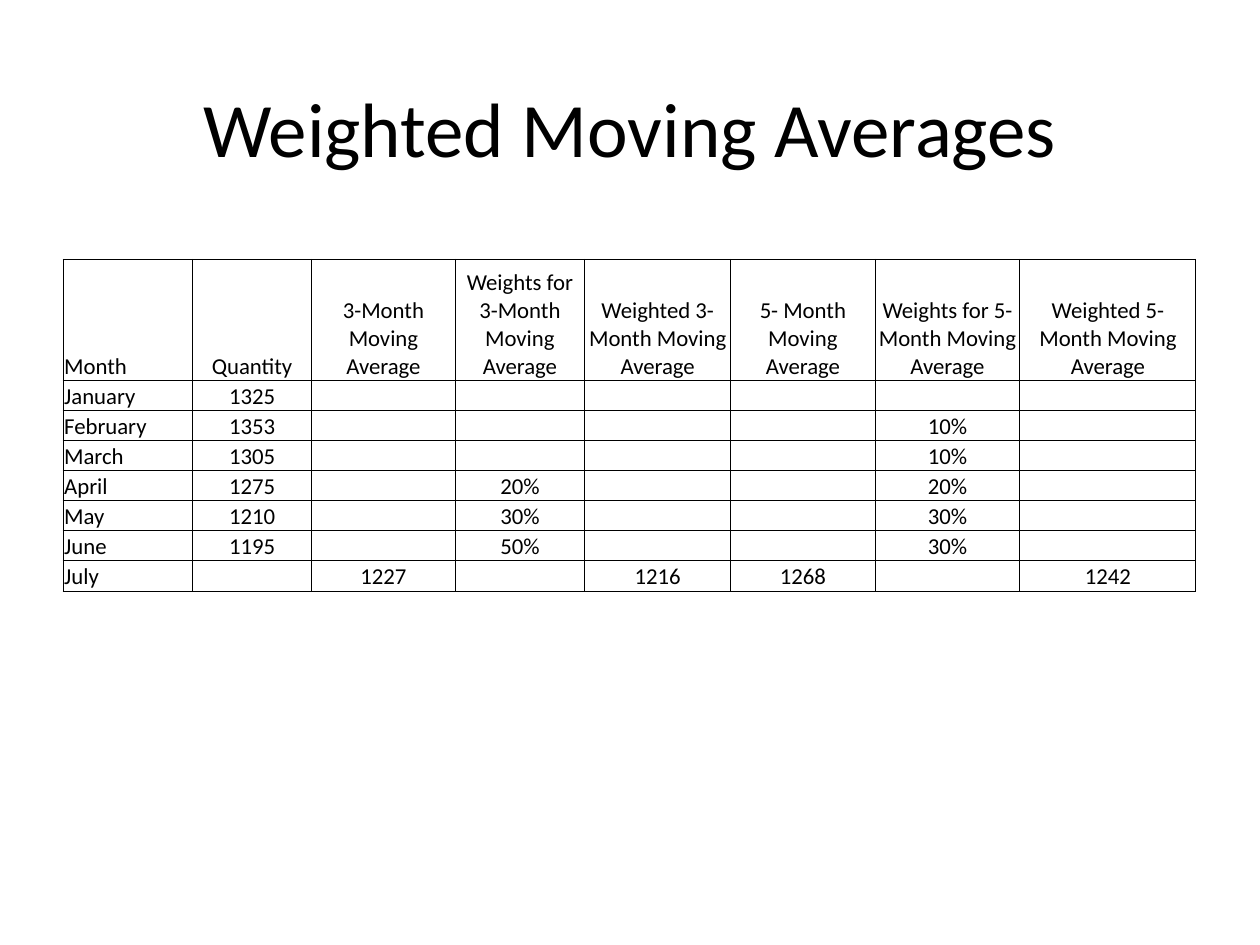
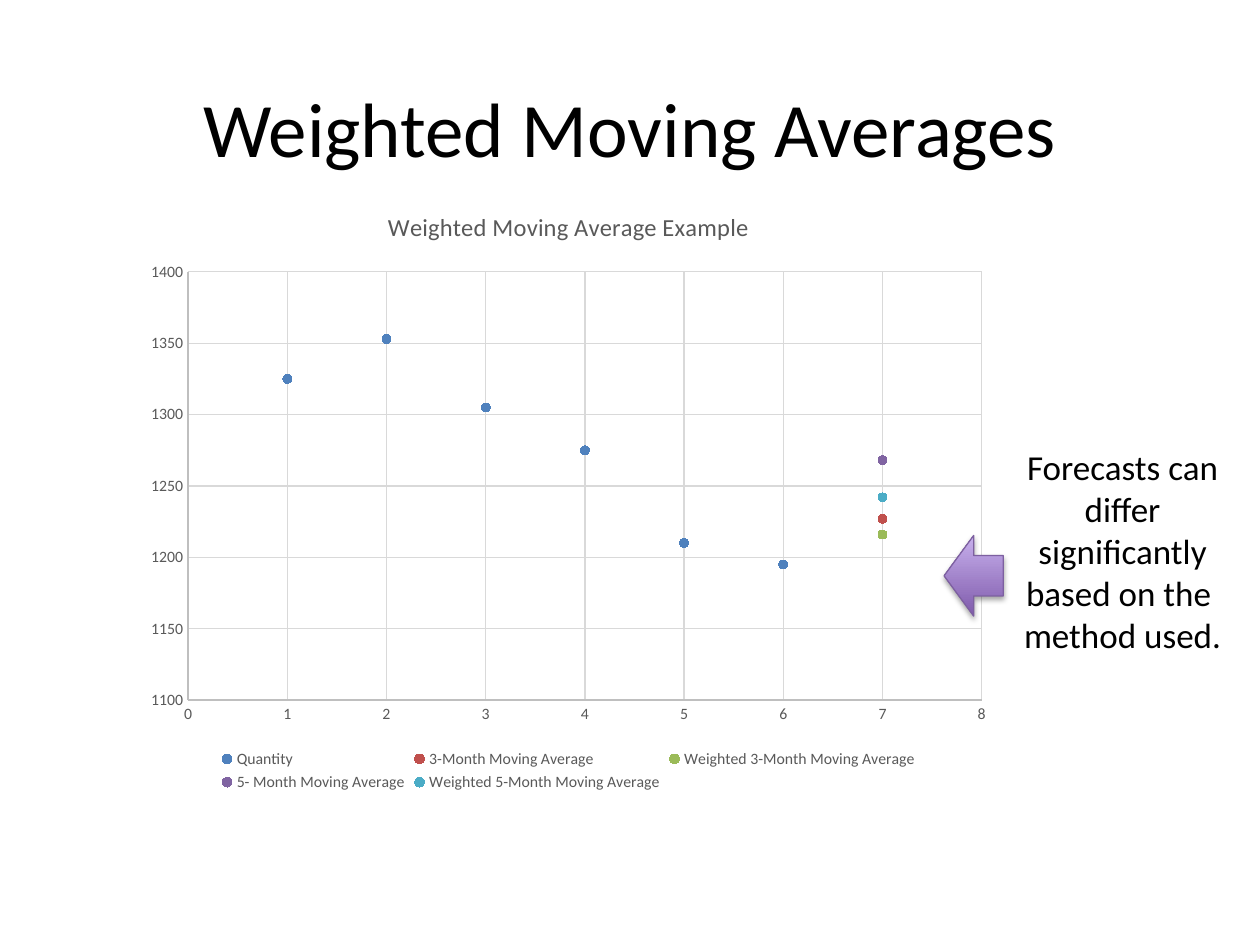
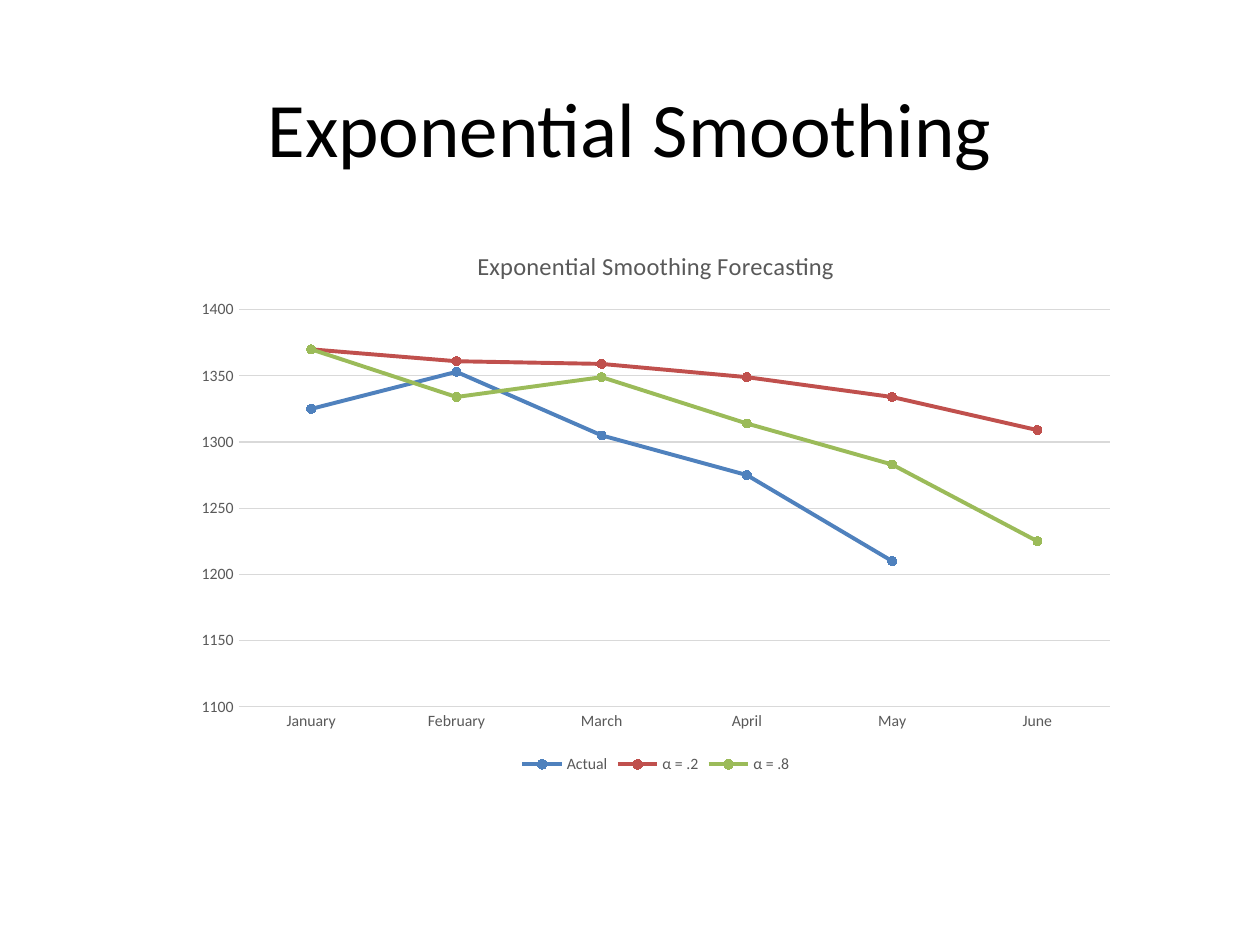
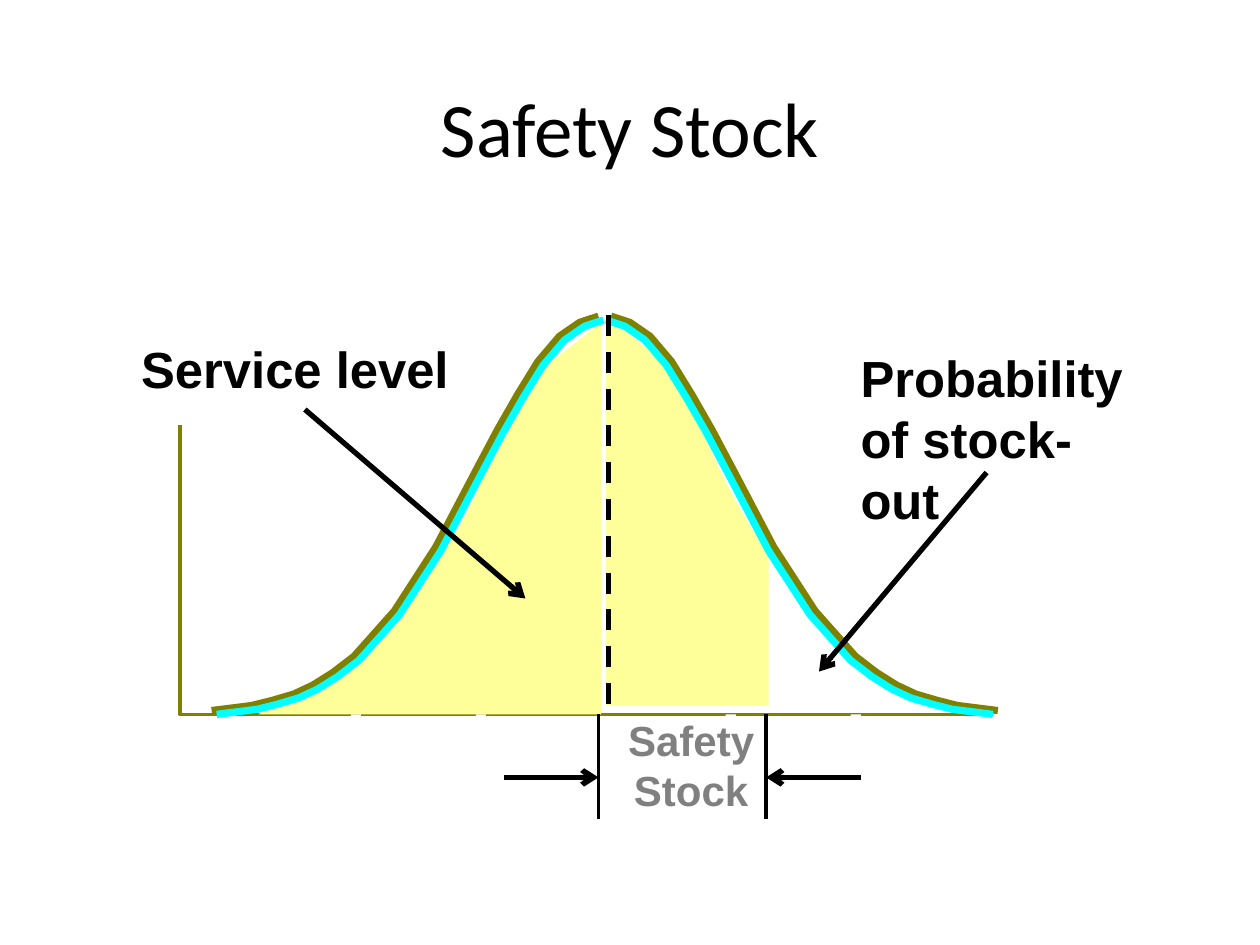
from lxml.etree import SubElement
from pptx import Presentation
from pptx.chart.data import CategoryChartData, XyChartData
from pptx.dml.color import RGBColor
from pptx.enum.chart import (XL_CHART_TYPE, XL_LEGEND_POSITION,
                             XL_MARKER_STYLE, XL_TICK_MARK)
from pptx.enum.dml import MSO_LINE
from pptx.enum.shapes import MSO_CONNECTOR, MSO_SHAPE
from pptx.enum.text import MSO_ANCHOR, MSO_AUTO_SIZE, PP_ALIGN
from pptx.oxml.ns import qn
from pptx.util import Inches, Pt

# Slide grid: 100 columns by 75 rows
WIDTH, HEIGHT = Inches(10), Inches(7.5)
COLS, ROWS = 100, 75

# Fonts and colours
BODY, LABEL = "Calibri", "Arial"
BLACK = RGBColor(0x00, 0x00, 0x00)
WHITE = RGBColor(0xFF, 0xFF, 0xFF)
GRAY = RGBColor(0x80, 0x80, 0x80)
SLATE = RGBColor(0x59, 0x59, 0x59)
SILVER = RGBColor(0xBF, 0xBF, 0xBF)
PALE = RGBColor(0xD9, 0xD9, 0xD9)
BLUE = RGBColor(0x4F, 0x81, 0xBD)
RED = RGBColor(0xC0, 0x50, 0x4D)
GREEN = RGBColor(0x9B, 0xBB, 0x59)
PURPLE = RGBColor(0x80, 0x64, 0xA2)
AQUA = RGBColor(0x4B, 0xAC, 0xC6)
HUES = [BLUE, RED, GREEN, PURPLE, AQUA]
PLUM = RGBColor(0x7F, 0x5B, 0xAB)
LILAC = RGBColor(0xC8, 0xB0, 0xED)
EDGE = RGBColor(0x7D, 0x60, 0xA0)
OLIVE = RGBColor(0x80, 0x80, 0x00)
CYAN = RGBColor(0x00, 0xFF, 0xFF)
YELLOW = RGBColor(0xFF, 0xFF, 0x99)

# Table content
WIDTHS = [10.28, 9.45, 11.4, 10.27, 11.6, 11.45, 11.5, 13.97]
HEADS = ["Month", "Quantity", "3-Month Moving Average",
         "Weights for 3-Month Moving Average",
         "Weighted 3-Month Moving Average", "5- Month Moving Average",
         "Weights for 5-Month Moving Average",
         "Weighted 5-Month Moving Average"]
MONTHS = ["January", "February", "March", "April", "May", "June", "July"]
SALES = [1325, 1353, 1305, 1275, 1210, 1195]
SHORT = ["", "", "", "20%", "30%", "50%"]
LONG = ["", "10%", "10%", "20%", "30%", "30%"]
CASTS = {2: 1227, 4: 1216, 5: 1268, 7: 1242}

# Smoothing content
TRENDS = {"Actual": SALES[:5] + [None],
          "α = .2": [1370, 1361, 1359, 1349, 1334, 1309],
          "α = .8": [1370, 1334, 1349, 1314, 1283, 1225]}

# Bell curve: the rising half, mirrored for the falling half
RISE = [(16.8, 56.4), (20, 56), (21.6, 55.6), (23.3, 55.1), (24.8, 54.4),
        (26.4, 53.4), (28.1, 52.1), (31.3, 48.5), (34.6, 43.4),
        (37.8, 37.3), (39.5, 34.1), (41.1, 31.3), (42.7, 28.7),
        (44.4, 26.7), (46, 25.6), (47.5, 25.1)]
MIRROR = 96
LEFT_AREA = [(47.7, 25.6), (43, 29.3), (41.2, 31.8), (39.3, 35.5),
             (37.7, 39.4), (36.2, 42.3), (29.3, 51.7), (24.9, 54.2),
             (20.5, 56.7), (47.7, 56.7)]
RIGHT_AREA = [(48.1, 25), (52.6, 28.7), (54.5, 31.2), (55.4, 33.6),
              (57.8, 38.7), (59.5, 41.7), (61, 44.2), (61, 56), (48.1, 56)]
BASE = 56.7


def col(n):
    return round(WIDTH * n / COLS)


def row(n):
    return round(HEIGHT * n / ROWS)


def area(x, y, w, h):
    return col(x), row(y), col(w), row(h)


def write(para, text, size, font=BODY, color=BLACK, bold=False):
    run = para.add_run()
    run.text = text
    run.font.size, run.font.name, run.font.bold = Pt(size), font, bold
    run.font.color.rgb = color


def text_box(slide, box, lines, size, align=PP_ALIGN.LEFT, pad=(0, 0),
             wrap=False, anchor=MSO_ANCHOR.TOP, **style):
    frame = slide.shapes.add_textbox(*area(*box)).text_frame
    frame.word_wrap, frame.vertical_anchor = wrap, anchor
    if not wrap:
        frame.auto_size = MSO_AUTO_SIZE.SHAPE_TO_FIT_TEXT
    frame.margin_left = frame.margin_right = col(pad[0])
    frame.margin_top = frame.margin_bottom = row(pad[1])
    for i, line in enumerate(lines):
        para = frame.add_paragraph() if i else frame.paragraphs[0]
        para.alignment = align
        write(para, line, size, **style)


def new_slide(deck, title):
    slide = deck.slides.add_slide(deck.slide_layouts[6])
    text_box(slide, (5, 3.8, 90, 12.5), [title], 44, PP_ALIGN.CENTER,
             (1, 0.5), True, MSO_ANCHOR.MIDDLE)
    return slide


# Table
def outline(cell):
    props = cell._tc.get_or_add_tcPr()
    for i, side in enumerate(("lnL", "lnR", "lnT", "lnB")):
        line = props.makeelement(qn(f"a:{side}"), {"w": str(Pt(0.5))})
        fill = SubElement(line, qn("a:solidFill"))
        SubElement(fill, qn("a:srgbClr"), val=str(BLACK))
        props.insert(i, line)


def add_grid(slide, box, rows, widths, heights):
    frame = slide.shapes.add_table(len(rows), len(widths), *area(*box))
    table = frame.table
    table.first_row = table.horz_banding = False
    for item, width in zip(table.columns, widths):
        item.width = col(width)
    for r, (values, height) in enumerate(zip(rows, heights)):
        table.rows[r].height = row(height)
        for c, value in enumerate(values):
            cell = table.cell(r, c)
            cell.fill.background()
            outline(cell)
            cell.vertical_anchor = MSO_ANCHOR.BOTTOM
            cell.margin_left = cell.margin_right = col(0.1)
            cell.margin_top, cell.margin_bottom = row(0.1), 0
            para = cell.text_frame.paragraphs[0]
            para.alignment = PP_ALIGN.CENTER if c else PP_ALIGN.LEFT
            if value:
                write(para, str(value), 13)
            else:
                para._p.get_or_add_endParaRPr().set("sz", "1300")


# Charts
def style_font(font, size, color):
    font.size, font.name, font.bold = Pt(size), BODY, False
    font.color.rgb = color


def style_line(line, color, width):
    line.color.rgb, line.width = color, Pt(width)


def style_axis(axis, color, grid):
    axis.major_tick_mark = axis.minor_tick_mark = XL_TICK_MARK.NONE
    style_font(axis.tick_labels.font, 9, SLATE)
    axis.has_major_gridlines = grid
    if grid:
        style_line(axis.major_gridlines.format.line, PALE, 0.75)
    if color:
        style_line(axis.format.line, color, 0.75)
    else:
        axis.format.line.fill.background()


def drop_blanks(chart):
    for value in list(chart._chartSpace.iter(qn("c:v"))):
        if value.text == "None":
            point = value.getparent()
            point.getparent().remove(point)


def add_plot(slide, box, kind, data, title):
    chart = slide.shapes.add_chart(kind, *area(*box), data).chart
    style_font(chart.font, 10, BLACK)
    chart.has_title = True
    write(chart.chart_title.text_frame.paragraphs[0], title, 14, color=SLATE)
    chart.chart_title.include_in_layout = False
    chart.has_legend = True
    chart.legend.position = XL_LEGEND_POSITION.BOTTOM
    chart.legend.include_in_layout = False
    style_font(chart.legend.font, 9, SLATE)
    values = chart.value_axis
    values.minimum_scale, values.maximum_scale = 1100, 1400
    values.major_unit = 50
    plot = chart.plots[0]
    plot.vary_by_categories = False
    for series, hue in zip(plot.series, HUES):
        marker = series.marker
        marker.style, marker.size = XL_MARKER_STYLE.CIRCLE, 5
        marker.format.fill.solid()
        marker.format.fill.fore_color.rgb = hue
        style_line(marker.format.line, hue, 0.75)
        if kind == XL_CHART_TYPE.LINE_MARKERS:
            series.smooth = False
            style_line(series.format.line, hue, 2.25)
        else:
            series.format.line.fill.background()
    return chart


# Shapes and lines
def add_rect(slide, *box):
    shape = slide.shapes.add_shape(MSO_SHAPE.RECTANGLE, *area(*box))
    shape.shadow.inherit = False
    shape.fill.solid()
    shape.fill.fore_color.rgb = WHITE
    shape.line.fill.background()


def add_free(slide, points, fill=None, line=None, width=1):
    spots = [(col(x), row(y)) for x, y in points]
    builder = slide.shapes.build_freeform(*spots[0], scale=1.0)
    builder.add_line_segments(spots[1:], close=fill is not None)
    shape = builder.convert_to_shape()
    shape.shadow.inherit = False
    if fill is None:
        shape.fill.background()
        style_line(shape.line, line, width)
    else:
        shape.fill.solid()
        shape.fill.fore_color.rgb = fill
        shape.line.fill.background()


def add_line(slide, start, end, width=3, dash=False, arrow=False):
    line = slide.shapes.add_connector(
        MSO_CONNECTOR.STRAIGHT, col(start[0]), row(start[1]),
        col(end[0]), row(end[1]))
    style_line(line.line, BLACK, width)
    if dash:
        line.line.dash_style = MSO_LINE.DASH
    if arrow:
        SubElement(line.line._get_or_add_ln(), qn("a:tailEnd"), type="arrow")
    SubElement(line._element.spPr, qn("a:effectLst"))


def add_arrow(slide, *box):
    shape = slide.shapes.add_shape(MSO_SHAPE.LEFT_ARROW, *area(*box))
    shape.shadow.inherit = False
    shape.fill.gradient()
    shape.fill.gradient_angle = 90
    for stop, hue, place in zip(shape.fill.gradient_stops,
                                (PLUM, LILAC), (0, 1)):
        stop.color.rgb, stop.position = hue, place
    style_line(shape.line, EDGE, 0.75)
    effects = shape._element.spPr.find(qn("a:effectLst"))
    shade = SubElement(effects, qn("a:outerShdw"), blurRad=str(Pt(3.1)),
                       dist=str(Pt(1.8)), dir="5400000", rotWithShape="0")
    tint = SubElement(shade, qn("a:srgbClr"), val=str(BLACK))
    SubElement(tint, qn("a:alpha"), val="35000")


# Slides
def table_slide(deck):
    slide = new_slide(deck, "Weighted Moving Averages")
    rows = [HEADS]
    for month, sale, short, long in zip(MONTHS, SALES, SHORT, LONG):
        rows.append([month, sale, "", short, "", "", long, ""])
    rows.append([MONTHS[-1]] + [CASTS.get(c, "") for c in range(1, 8)])
    add_grid(slide, (5, 20.57, 90, 26.3), rows, WIDTHS, [9.6] + [2.39] * 7)


def scatter_slide(deck):
    slide = new_slide(deck, "Weighted Moving Averages")
    data = XyChartData()
    lists = {HEADS[1]: SALES + [None]}
    for c, cast in CASTS.items():
        lists[HEADS[c]] = [None] * 6 + [cast]
    for name, values in lists.items():
        series = data.add_series(name)
        for x, value in enumerate(values, 1):
            series.add_data_point(x, value)
    chart = add_plot(slide, (10.62, 14.82, 69, 48.4),
                     XL_CHART_TYPE.XY_SCATTER, data,
                     "Weighted Moving Average Example")
    drop_blanks(chart)
    across = chart.category_axis
    across.minimum_scale, across.maximum_scale = 0, 8
    across.major_unit = 1
    for axis in (across, chart.value_axis):
        style_axis(axis, SILVER, True)
    text_box(slide, (79.6, 34.83, 19, 17.8),
             ["Forecasts can differ significantly based on the  method used."],
             20, PP_ALIGN.CENTER, (1, 0.5), True)
    add_arrow(slide, 74.93, 42.5, 4.7, 6.4)


def trend_slide(deck):
    slide = new_slide(deck, "Exponential Smoothing")
    data = CategoryChartData()
    data.categories = MONTHS[:6]
    for name, values in TRENDS.items():
        data.add_series(name, values)
    chart = add_plot(slide, (14.5, 18, 75.1, 43.8),
                     XL_CHART_TYPE.LINE_MARKERS, data,
                     "Exponential Smoothing Forecasting")
    style_axis(chart.category_axis, PALE, False)
    style_axis(chart.value_axis, None, True)


def stock_slide(deck):
    slide = new_slide(deck, "Safety Stock")
    bold = {"font": LABEL, "bold": True}
    # Axes with white gaps
    for i in range(9):
        add_rect(slide, 13.5, 35.8 + 2.29 * i, 0.8, 0.5)
    add_free(slide, [(14.3, 33.7), (14.3, BASE), (78.8, BASE)],
             line=OLIVE, width=2)
    text_box(slide, (11.2, 26.8, 25.5, 4.8), ["Service level"], 29, **bold)
    # Areas under the curve
    add_free(slide, RIGHT_AREA, fill=YELLOW)
    add_free(slide, LEFT_AREA, fill=YELLOW)
    for i in (0, 1, 2, 3, 5, 6):
        add_rect(slide, 8 + 9.92 * i, BASE, 0.8, 0.3)
    # Curve halves, each with a shifted bright copy
    fall = [(MIRROR - x, y) for x, y in RISE]
    for half, shift in ((fall, -0.4), (RISE, 0.4)):
        add_free(slide, half, line=OLIVE, width=4.13)
        add_free(slide, [(x + shift, y + 0.3) for x, y in half],
                 line=CYAN, width=4.13)
    # Labels
    text_box(slide, (49.4, BASE, 10.9, 8), ["Safety ", "Stock"], 24,
             PP_ALIGN.CENTER, color=GRAY, **bold)
    text_box(slide, (68.3, 27.5, 22, 9.7), ["Probability", "of stock-out"],
             29, wrap=True, **bold)
    # Limits, mean and arrows
    for x in (47.5, 60.8):
        add_line(slide, (x, BASE), (x, 65), 2.25)
    add_line(slide, (48.3, 25), (48.3, BASE), dash=True)
    for start, end in (((78.3, 37.5), (65, 53.3)), ((24.2, 32.5), (41.7, 47.5)),
                       ((40, 61.7), (47.5, 61.7)), ((68.3, 61.7), (60.8, 61.7))):
        add_line(slide, start, end, arrow=True)


def main():
    deck = Presentation()
    deck.slide_width, deck.slide_height = WIDTH, HEIGHT
    for build in (table_slide, scatter_slide, trend_slide, stock_slide):
        build(deck)
    deck.save("out.pptx")


if __name__ == "__main__":
    main()
